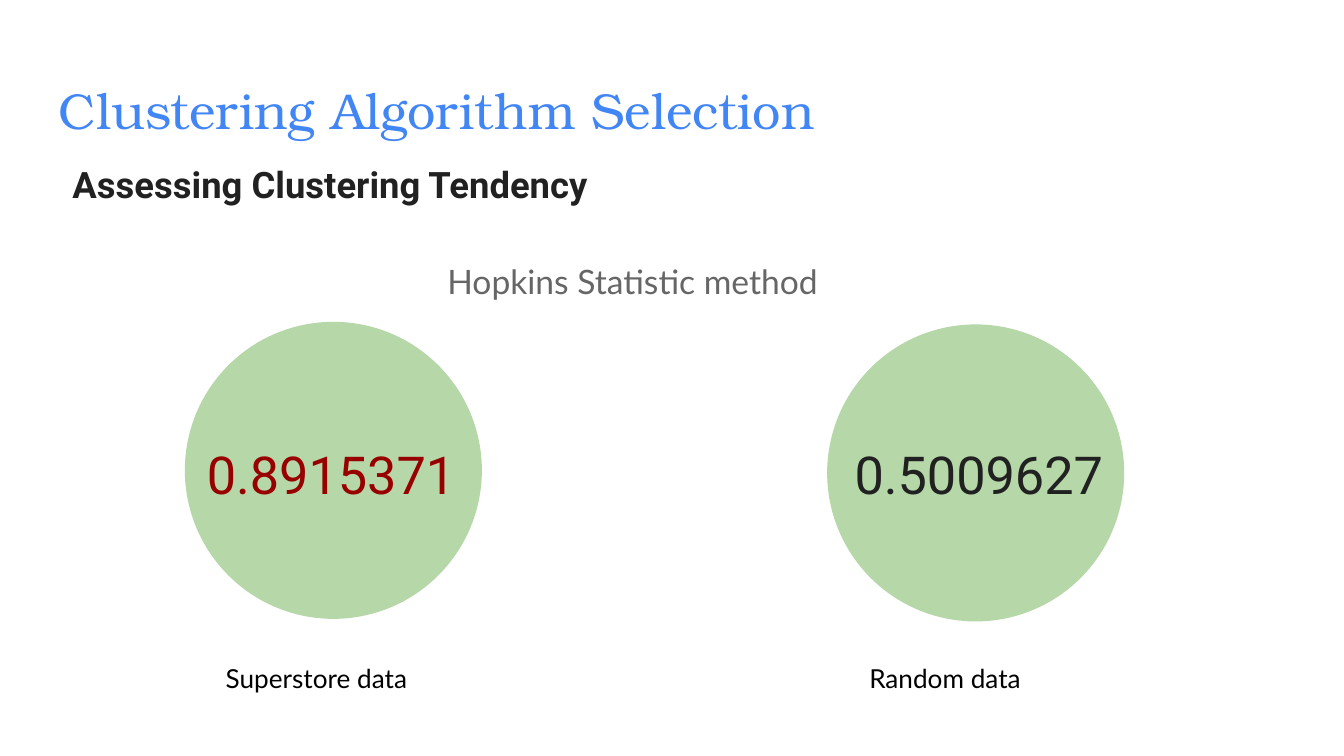
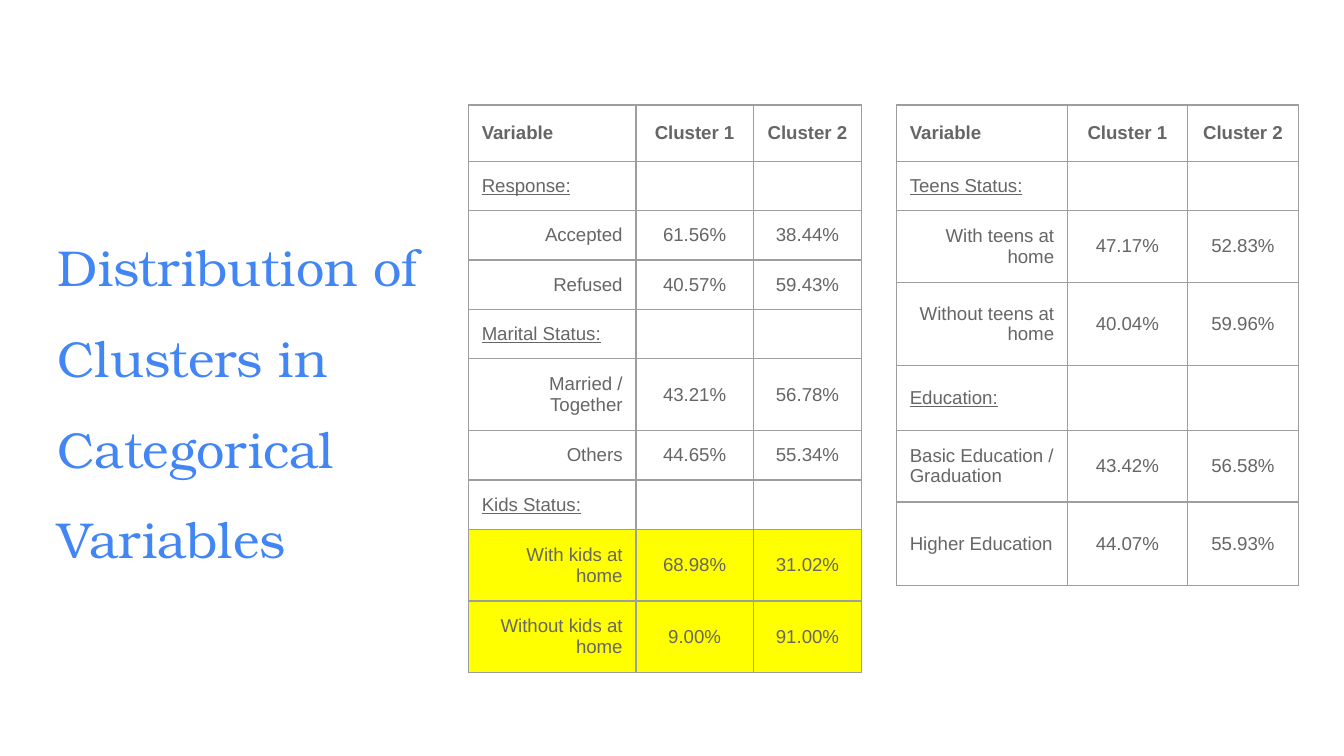
from lxml.etree import SubElement
from pptx import Presentation
from pptx.dml.color import RGBColor
from pptx.enum.shapes import MSO_SHAPE
from pptx.enum.text import MSO_ANCHOR, PP_ALIGN
from pptx.oxml.ns import qn
from pptx.util import Pt

BLUE, GREY, INK, RED, BLACK = "4285F4", "666666", "212121", "980000", "000000"
GREEN, YELLOW, BORDER = "B6D7A8", "FFFF00", "9E9E9E"
INSET = 7.2
TITLE_STYLE = dict(font="TeX Gyre Bonum", size=27, color=BLUE)
DIAMETER = 158.4

SELECTION_TITLE = "Clustering Algorithm Selection"
TENDENCY = "Assessing Clustering Tendency"
METHOD = "Hopkins Statistic method"
STATISTICS = [
    dict(value="0.5009627", color=INK, circle=(443.5, 174.2),
         value_box=(450.7, 229.7, 164.2, 48.2),
         label="Random data", label_box=(458.6, 347.8, 128.9, 31.7)),
    dict(value="0.8915371", color=RED, circle=(99.4, 172.8),
         value_box=(103.7, 229.7, 203, 48.2),
         label="Superstore data", label_box=(113.8, 347.8, 128.9, 31.7)),
]

DISTRIBUTION_TITLE = "Distribution of Clusters in Categorical Variables"
ROW_ALIGN = dict(header=PP_ALIGN.LEFT, section=PP_ALIGN.LEFT, level=PP_ALIGN.LEFT,
                 sublevel=PP_ALIGN.RIGHT, marked=PP_ALIGN.RIGHT)
HEADER = ("header", 30.2, "Variable", "Cluster 1", "Cluster 2")
DISTRIBUTIONS = [
    dict(left=480.2, widths=(91.7, 64.1, 59.8), rows=[
        HEADER,
        ("section", 26.4, "Teens Status:", "", ""),
        ("sublevel", 26.4, "With teens at home", "47.17%", "52.83%"),
        ("sublevel", 44.6, "Without teens at home", "40.04%", "59.96%"),
        ("section", 34.6, "Education:", "", ""),
        ("level", 36.7, "Basic Education / Graduation", "43.42%", "56.58%"),
        ("level", 44.6, "Higher Education", "44.07%", "55.93%"),
    ]),
    dict(left=250.9, widths=(89.8, 62.8, 58.2), rows=[
        HEADER,
        ("section", 19.4, "Response:", "", ""),
        ("sublevel", 19.4, "Accepted", "61.56%", "38.44%"),
        ("sublevel", 19.4, "Refused", "40.57%", "59.43%"),
        ("section", 19.4, "Marital Status:", "", ""),
        ("sublevel", 30.2, "Married / Together", "43.21%", "56.78%"),
        ("sublevel", 19.4, "Others", "44.65%", "55.34%"),
        ("section", 19.4, "Kids Status:", "", ""),
        ("marked", 30.2, "With kids at home", "68.98%", "31.02%"),
        ("marked", 30.2, "Without kids at home", "9.00%", "91.00%"),
    ]),
]


def rgb(color):
    return RGBColor.from_string(color)


def style_run(run, font, size, color, bold=False, underline=False):
    run.font.name = font
    run.font.size = Pt(size)
    run.font.color.rgb = rgb(color)
    run.font.bold = bold
    run.font.underline = underline


def add_text(slide, text, box, spacing=1.0, **style):
    frame = slide.shapes.add_textbox(*map(Pt, box)).text_frame
    frame.word_wrap = True
    frame.margin_left = frame.margin_right = Pt(INSET)
    frame.margin_top = frame.margin_bottom = Pt(INSET)
    frame.text = text
    paragraph = frame.paragraphs[0]
    paragraph.line_spacing = spacing
    style_run(paragraph.runs[0], **style)


def add_circle(slide, left, top):
    circle = slide.shapes.add_shape(MSO_SHAPE.OVAL, Pt(left), Pt(top),
                                    Pt(DIAMETER), Pt(DIAMETER))
    circle.shadow.inherit = False
    circle.fill.solid()
    circle.fill.fore_color.rgb = rgb(GREEN)
    circle.line.color.rgb = rgb(GREEN)
    circle.line.width = Pt(0.75)


def add_borders(cell):
    properties = cell._tc.get_or_add_tcPr()
    for side in ("a:lnL", "a:lnR", "a:lnT", "a:lnB"):
        line = SubElement(properties, qn(side), w=str(Pt(0.75)))
        SubElement(SubElement(line, qn("a:solidFill")), qn("a:srgbClr"), val=BORDER)


def fill_cell(cell, text, role, align):
    cell.margin_left = cell.margin_right = Pt(INSET)
    cell.margin_top = cell.margin_bottom = Pt(INSET)
    cell.vertical_anchor = MSO_ANCHOR.MIDDLE
    add_borders(cell)
    if role == "marked":
        cell.fill.solid()
        cell.fill.fore_color.rgb = rgb(YELLOW)
    else:
        cell.fill.background()
    cell.text_frame.text = text
    paragraph = cell.text_frame.paragraphs[0]
    paragraph.alignment = align
    if text:
        style_run(paragraph.runs[0], "Arial", 10, GREY,
                  bold=role == "header", underline=role == "section")
    else:
        SubElement(paragraph._p, qn("a:endParaRPr"), sz="1000")


def add_distribution(slide, left, widths, rows):
    height = sum(row[1] for row in rows)
    table = slide.shapes.add_table(len(rows), len(widths), Pt(left), Pt(56.2),
                                   Pt(sum(widths)), Pt(height)).table
    table.first_row = table.horz_banding = False
    for column, width in zip(table.columns, widths):
        column.width = Pt(width)
    for r, (role, row_height, *texts) in enumerate(rows):
        table.rows[r].height = Pt(row_height)
        for c, text in enumerate(texts):
            align = PP_ALIGN.CENTER if c else ROW_ALIGN[role]
            fill_cell(table.cell(r, c), text, role, align)


def build_selection(slide):
    for statistic in STATISTICS:
        add_circle(slide, *statistic["circle"])
    add_text(slide, SELECTION_TITLE, (24.5, 35.3, 671, 45.4), **TITLE_STYLE)
    add_text(slide, METHOD, (232.6, 129.6, 223.2, 45.4), 1.15,
             font="Lato", size=18, color=GREY)
    for statistic in STATISTICS:
        add_text(slide, statistic["label"], statistic["label_box"],
                 font="Lato", size=14, color=BLACK)
        add_text(slide, statistic["value"], statistic["value_box"],
                 font="Roboto", size=28, color=statistic["color"])
    add_text(slide, TENDENCY, (31.7, 76.3, 304.6, 38.2), 1.15,
             font="Roboto", size=19.5, color=INK, bold=True)


def build_distribution(slide):
    for distribution in DISTRIBUTIONS:
        add_distribution(slide, **distribution)
    add_text(slide, DISTRIBUTION_TITLE, (23.8, 103, 221.8, 200.9), 1.5, **TITLE_STYLE)


def main():
    deck = Presentation()
    deck.slide_width, deck.slide_height = Pt(720), Pt(405)
    for build in (build_selection, build_distribution):
        build(deck.slides.add_slide(deck.slide_layouts[6]))
    deck.save("out.pptx")


if __name__ == "__main__":
    main()
